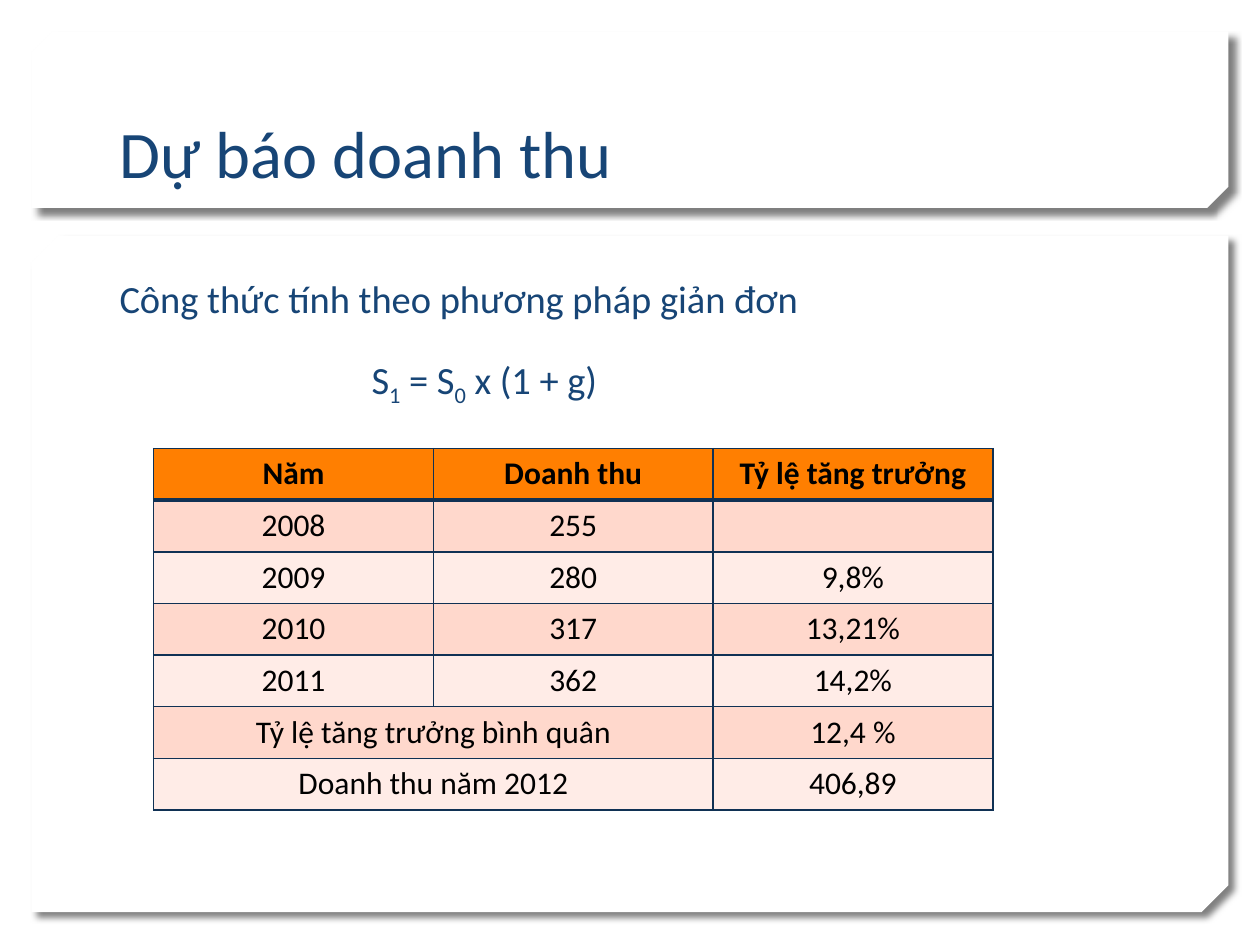
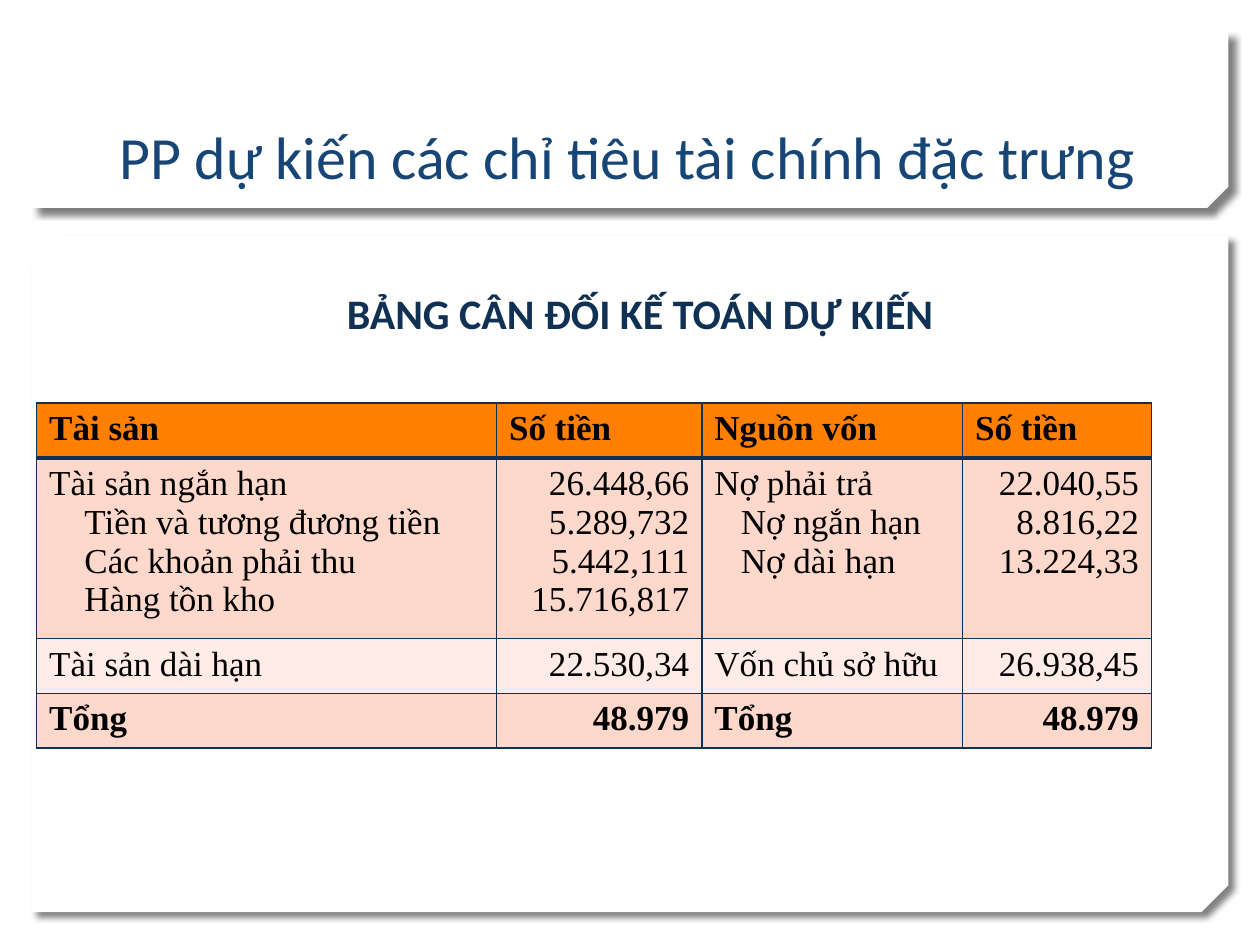
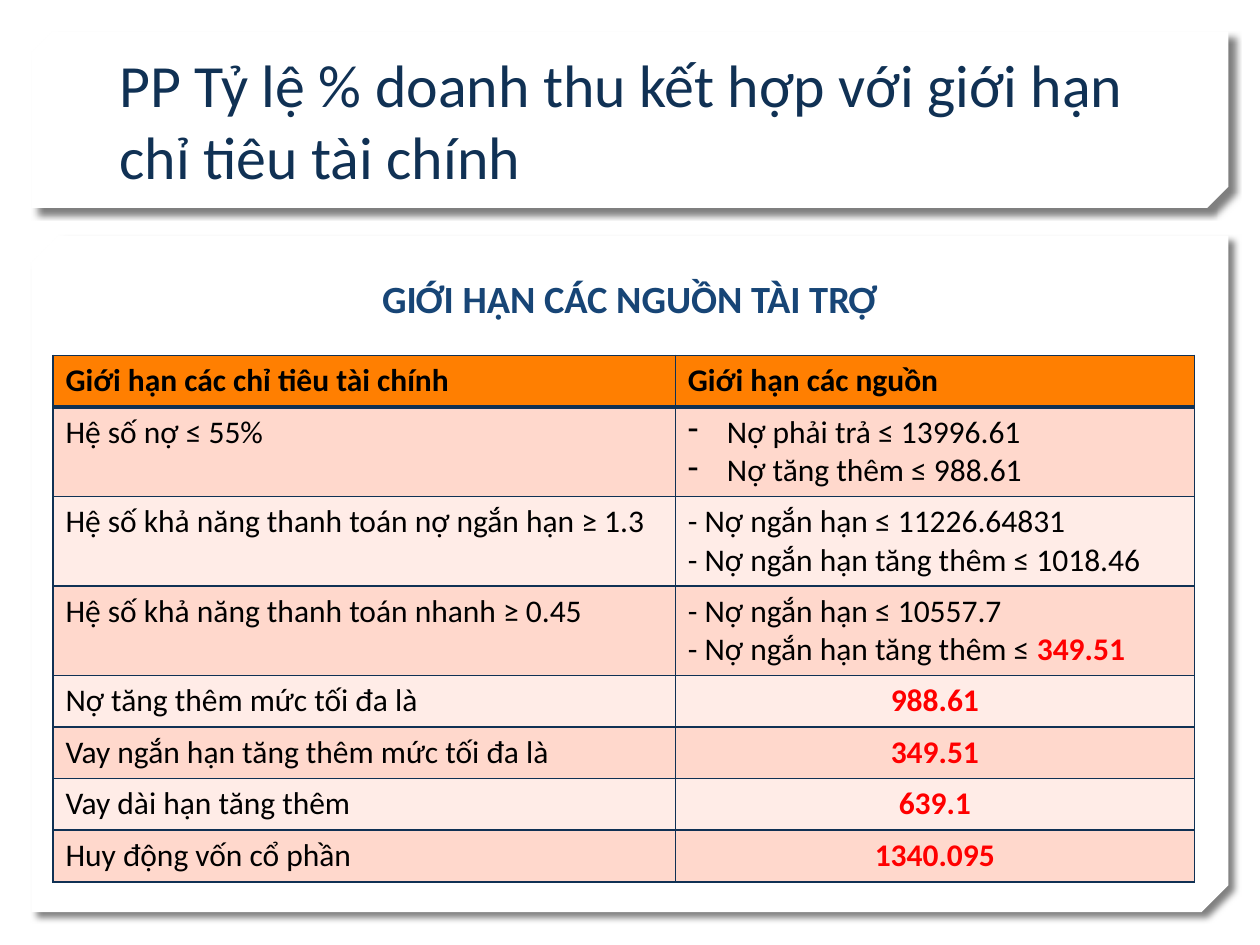
from dataclasses import dataclass

from lxml import etree
from pptx import Presentation
from pptx.dml.color import RGBColor
from pptx.enum.shapes import MSO_SHAPE
from pptx.enum.text import MSO_ANCHOR, PP_ALIGN
from pptx.oxml.ns import qn
from pptx.util import Inches, Pt

LEFT, CENTER, RIGHT = PP_ALIGN.LEFT, PP_ALIGN.CENTER, PP_ALIGN.RIGHT
TOP, BOTTOM = MSO_ANCHOR.TOP, MSO_ANCHOR.BOTTOM
SNIPPED = MSO_SHAPE.SNIP_2_DIAG_RECTANGLE

COLORS = {
    "white": "FFFFFF", "black": "000000", "red": "FF0000",
    "blue": "174576", "navy": "103154",
    "header": "FF7F01", "odd": "FFD8CC", "even": "FFECE7",
}
SANS, SERIF = "Calibri", "Times New Roman"
COLUMNS, ROWS = 100, 75


@dataclass
class Line:
    """One paragraph: runs of (text, style changes) and its layout."""
    runs: list
    align: object = None
    indent: float = 0
    bullet: str = ""
    gap: float = 0


def as_lines(content):
    """Turn a string, a Line or a list of both into a list of Lines."""
    items = content if isinstance(content, list) else [content]
    return [i if isinstance(i, Line) else Line([(i, {})]) for i in items]


def indented(text, inches):
    """Return a line set in from the left."""
    return Line([(text, {})], indent=inches)


def bulleted(text):
    """Return a line with a hanging dash."""
    return Line([(text, {})], indent=0.31, bullet="-")


def result(text):
    """Return a centred line in bold red."""
    return Line([(text, HIGHLIGHT)], align=CENTER)


HIGHLIGHT = {"color": "red", "bold": True}
SUBSCRIPT = {"baseline": -25}


class Deck:
    """Holds the shared style and the current slide."""

    def __init__(self):
        """Start an empty presentation of 10 by 7.5 inches."""
        self.show = Presentation()
        self.show.slide_width, self.show.slide_height = Inches(10), Inches(7.5)
        self.slide = None

    def x(self, columns):
        """Convert grid columns to a length."""
        return round(self.show.slide_width * columns / COLUMNS)

    def y(self, rows):
        """Convert grid rows to a length."""
        return round(self.show.slide_height * rows / ROWS)

    def box(self, left, top, width, height):
        """Convert a grid box to lengths."""
        return self.x(left), self.y(top), self.x(width), self.y(height)

    def new_slide(self, title, size=34.2, color="blue"):
        """Add a slide with both panels and its title."""
        self.slide = self.show.slides.add_slide(self.show.slide_layouts[6])
        self.panel(18.7, 53.7, 0.04)
        self.panel(2.5, 14, 0.12)
        self.text((8.5, 3.2, 82.9, 12.5), title, size, color, anchor=BOTTOM)

    def panel(self, top, height, snip):
        """Draw a white panel with a snipped corner and a soft shadow."""
        panel = self.slide.shapes.add_shape(SNIPPED, *self.box(2.5, top, 95, height))
        panel.adjustments[0], panel.adjustments[1] = 0, snip
        panel.fill.solid()
        panel.fill.fore_color.rgb = RGBColor.from_string(COLORS["white"])
        panel.line.fill.background()
        panel.shadow.inherit = False
        properties = panel.element.spPr
        properties.find(qn("a:xfrm")).set("flipV", "1")
        shadow = etree.SubElement(
            properties.find(qn("a:effectLst")), qn("a:outerShdw"),
            blurRad=str(Pt(4)), dist=str(Pt(5)), dir="2700000", algn="tl", rotWithShape="0")
        tint = etree.SubElement(shadow, qn("a:srgbClr"), val=COLORS["black"])
        etree.SubElement(tint, qn("a:alpha"), val="50000")

    def text(self, box, content, size, color, bold=False, align=LEFT, anchor=TOP, wrap=True):
        """Add a text box."""
        frame = self.slide.shapes.add_textbox(*self.box(*box)).text_frame
        frame.word_wrap = wrap
        frame.vertical_anchor = anchor
        self.put_lines(frame, content, align, font=SANS, size=size, color=color, bold=bold)

    def put_lines(self, frame, content, align, **style):
        """Fill a text frame line by line and run by run."""
        for number, line in enumerate(as_lines(content)):
            paragraph = frame.add_paragraph() if number else frame.paragraphs[0]
            paragraph.alignment = line.align or align
            if line.gap:
                paragraph.space_before = Pt(line.gap)
            if line.indent:
                layout = paragraph._p.get_or_add_pPr()
                layout.set("marL", str(Inches(line.indent)))
                if line.bullet:
                    layout.set("indent", str(-Inches(line.indent)))
                    etree.SubElement(layout, qn("a:buChar"), char=line.bullet)
            for words, changes in line.runs:
                if words:
                    self.put_run(paragraph, words, **{**style, **changes})

    def put_run(self, paragraph, words, font, size, color, bold, baseline=0):
        """Add one styled run."""
        run = paragraph.add_run()
        run.text = words
        run.font.name, run.font.size, run.font.bold = font, Pt(size), bold
        run.font.color.rgb = RGBColor.from_string(COLORS[color])
        if baseline:
            run._r.get_or_add_rPr().set("baseline", str(baseline * 1000))

    def border(self, cell, **widths):
        """Draw the four borders of a cell in navy."""
        for side in "LRTB":
            edge = etree.SubElement(cell._tc.get_or_add_tcPr(), qn(f"a:ln{side}"),
                                    w=str(Pt(widths.get(side, 1))))
            fill = etree.SubElement(edge, qn("a:solidFill"))
            etree.SubElement(fill, qn("a:srgbClr"), val=COLORS["navy"])

    def table(self, left, top, widths, rows, aligns, header_align=LEFT,
              font=SANS, size=18, total=False):
        """Add a banded table; a None cell joins the cell to its left."""
        heights = [3 * max(len(as_lines(c)) for c in row) + 1.1 for row in rows]
        table = self.slide.shapes.add_table(
            len(rows), len(widths), *self.box(left, top, sum(widths), sum(heights))).table
        table.horz_banding = False
        for column, width in zip(table.columns, widths):
            column.width = self.x(width)
        for r, row in enumerate(rows):
            table.rows[r].height = self.y(heights[r])
            band = "header" if r == 0 else "odd" if r % 2 else "even"
            bold = r == 0 or (total and r == len(rows) - 1)
            for c, content in enumerate(row):
                cell = table.cell(r, c)
                self.border(cell, B=3 if r == 0 else 1, T=3 if r == 1 else 1)
                cell.fill.solid()
                cell.fill.fore_color.rgb = RGBColor.from_string(COLORS[band])
                if content is None:
                    table.cell(r, c - 1).merge(cell)
                    continue
                self.put_lines(cell.text_frame, content, aligns[c] if r else header_align,
                               font=font, size=size, color="black", bold=bold)


def revenue_forecast(deck):
    """Build the slide on forecasting revenue."""
    deck.new_slide("Dự báo doanh thu", size=38)
    formula = Line([("S", {}), ("1", SUBSCRIPT), (" = S", {}), ("0", SUBSCRIPT),
                    (" x (1 + g)", {})], indent=2, gap=20)
    deck.text((8.5, 21.3, 82.9, 13.5),
              ["Công thức tính theo phương pháp giản đơn", formula], 22, "blue")
    deck.table(12.2, 35.6, [22.2] * 3, [
        ["Năm", "Doanh thu", "Tỷ lệ tăng trưởng"],
        ["2008", "255", ""],
        ["2009", "280", "9,8%"],
        ["2010", "317", "13,21%"],
        ["2011", "362", "14,2%"],
        ["Tỷ lệ tăng trưởng bình quân", None, "12,4 %"],
        ["Doanh thu năm 2012", None, "406,89"],
    ], [CENTER] * 3, header_align=CENTER)


def balance_sheet(deck):
    """Build the slide with the projected balance sheet."""
    deck.new_slide("PP dự kiến các chỉ tiêu tài chính đặc trưng")
    assets = ["Tài sản ngắn hạn"] + [
        indented(name, 0.28)
        for name in ("Tiền và tương đương tiền", "Các khoản phải thu", "Hàng tồn kho")]
    debts = ["Nợ phải trả"] + [indented(name, 0.21) for name in ("Nợ ngắn hạn", "Nợ dài hạn")]
    deck.table(2.9, 32, [36.5, 16.3, 20.7, 15], [
        ["Tài sản", "Số tiền", "Nguồn vốn", "Số tiền"],
        [assets, ["26.448,66", "5.289,732", "5.442,111", "15.716,817"],
         debts, ["22.040,55", "8.816,22", "13.224,33"]],
        ["Tài sản dài hạn", "22.530,34", "Vốn chủ sở hữu", "26.938,45"],
        ["Tổng", "48.979", "Tổng", "48.979"],
    ], [LEFT, RIGHT] * 2, font=SERIF, size=20, total=True)
    deck.text((24.4, 22.3, 52.8, 5), "BẢNG CÂN ĐỐI KẾ TOÁN DỰ KIẾN", 24, "navy",
              bold=True, align=CENTER, wrap=False)


def funding_limits(deck):
    """Build the slide on the limits of funding sources."""
    deck.new_slide("PP Tỷ lệ % doanh thu kết hợp với giới hạn chỉ tiêu tài chính", color="navy")
    deck.text((8.5, 21.3, 82.9, 6.9), "GIỚI HẠN CÁC NGUỒN TÀI TRỢ", 22, "blue",
              bold=True, align=CENTER)
    added_short_debt = Line([("- Nợ ngắn hạn tăng thêm ≤ ", {}), ("349.51", HIGHLIGHT)])
    deck.table(4.2, 28.2, [49.4, 41.2], [
        ["Giới hạn các chỉ tiêu tài chính", "Giới hạn các nguồn"],
        ["Hệ số nợ ≤ 55%",
         [bulleted("Nợ phải trả ≤ 13996.61"), bulleted("Nợ tăng thêm ≤ 988.61")]],
        ["Hệ số khả năng thanh toán nợ ngắn hạn ≥ 1.3",
         ["- Nợ ngắn hạn ≤ 11226.64831", "- Nợ ngắn hạn tăng thêm ≤ 1018.46"]],
        ["Hệ số khả năng thanh toán nhanh ≥ 0.45",
         ["- Nợ ngắn hạn ≤ 10557.7", added_short_debt]],
        ["Nợ tăng thêm mức tối đa là", result("988.61")],
        ["Vay ngắn hạn tăng thêm mức tối đa là", result("349.51")],
        ["Vay dài hạn tăng thêm", result("639.1")],
        ["Huy động vốn cổ phần", result("1340.095")],
    ], [LEFT, LEFT])


def main():
    """Build every slide and save the presentation."""
    deck = Deck()
    for build in (revenue_forecast, balance_sheet, funding_limits):
        build(deck)
    deck.show.save("out.pptx")


if __name__ == "__main__":
    main()
